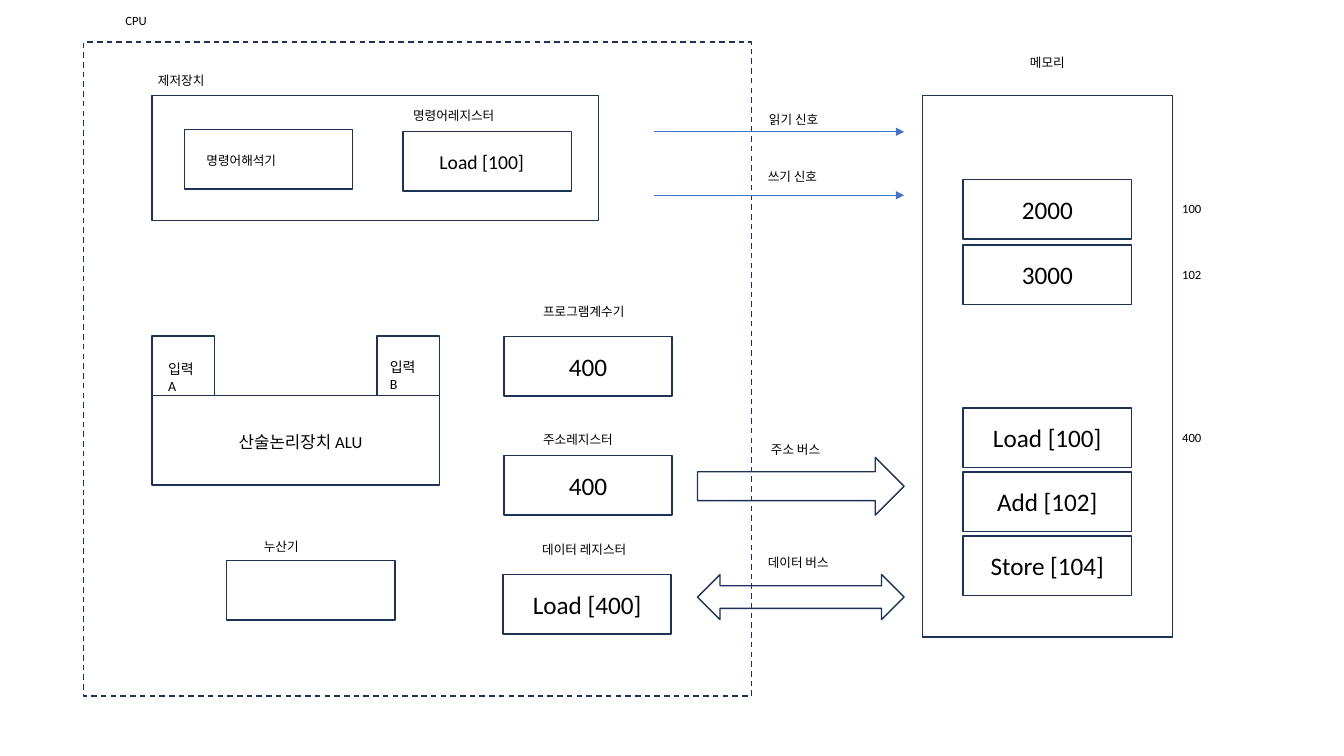
from dataclasses import dataclass

from lxml import etree
from pptx import Presentation
from pptx.dml.color import RGBColor
from pptx.enum import dml, shapes, text
from pptx.oxml import ns
from pptx.util import Pt


@dataclass(frozen=True)
class Theme:
    font: str = "Calibri"
    ink: RGBColor = RGBColor(0, 0, 0)
    outline: RGBColor = RGBColor(0x1E, 0x32, 0x56)
    signal: RGBColor = RGBColor(0x44, 0x72, 0xC4)
    label: float = 9
    operand: float = 10
    unit: float = 12
    instruction: float = 14
    value: float = 18


THEME = Theme()
LEFT, CENTER = text.PP_ALIGN.LEFT, text.PP_ALIGN.CENTER
BOX, BUS, TWO_WAY_BUS = (
    shapes.MSO_SHAPE.RECTANGLE,
    shapes.MSO_SHAPE.RIGHT_ARROW,
    shapes.MSO_SHAPE.LEFT_RIGHT_ARROW,
)
CELL = (120.2, 42.5)
ALU_LEFT, ALU_TOP, ALU_WIDTH, ALU_HEIGHT = 108.7, 282.5, 205.2, 64
INPUT_WIDTH = 44.6
MEMORY_LEFT, MEMORY_TOP, MEMORY_WIDTH, MEMORY_HEIGHT = 658.8, 68.4, 178.6, 386.6
BUS_LEFT, BUS_WIDTH = 498.2, 147.6


def write(frame, words, size, align):
    paragraph = frame.paragraphs[0]
    paragraph.text = words
    paragraph.alignment = align
    paragraph.font.name = THEME.font
    paragraph.font.size = Pt(size)
    paragraph.font.color.rgb = THEME.ink


def add_outline(slide, left, top, width, height, words="", kind=BOX, dashed=False):
    outline = slide.shapes.add_shape(kind, Pt(left), Pt(top), Pt(width), Pt(height))
    outline.shadow.inherit = False
    outline.fill.background()
    outline.line.color.rgb = THEME.outline
    outline.line.width = Pt(1)
    if dashed:
        outline.line.dash_style = dml.MSO_LINE.DASH
    if words:
        outline.text_frame.vertical_anchor = text.MSO_ANCHOR.MIDDLE
        write(outline.text_frame, words, THEME.value, CENTER)


def add_label(slide, left, top, words, size=THEME.label, align=LEFT, width=86.4):
    label = slide.shapes.add_textbox(Pt(left), Pt(top), Pt(width), Pt(2 * size))
    label.text_frame.word_wrap = True
    label.text_frame.auto_size = text.MSO_AUTO_SIZE.SHAPE_TO_FIT_TEXT
    write(label.text_frame, words, size, align)


def add_signal(slide, top):
    signal = slide.shapes.add_connector(
        shapes.MSO_CONNECTOR.STRAIGHT, Pt(467.3), Pt(top), Pt(BUS_LEFT + BUS_WIDTH), Pt(top)
    )
    signal.line.color.rgb = THEME.signal
    signal.line.width = Pt(0.5)
    etree.SubElement(signal.line._get_or_add_ln(), ns.qn("a:tailEnd"), type="triangle")
    etree.SubElement(signal._element.spPr, ns.qn("a:effectLst"))


def add_control_unit(slide):
    add_outline(slide, ALU_LEFT, MEMORY_TOP, 319, 89.3)
    add_label(slide, 105.8, 48.2, "제저장치")
    add_outline(slide, 131.8, 92.6, *CELL)
    add_label(slide, 140.4, 105.8, "명령어해석기")
    add_outline(slide, 288, 93.9, *CELL)
    add_label(slide, 288, 73.4, "명령어레지스터")
    add_label(slide, 301, 103.7, "Load [100]", THEME.instruction, CENTER)


def add_alu(slide):
    add_outline(slide, ALU_LEFT, ALU_TOP, ALU_WIDTH, ALU_HEIGHT)
    add_label(slide, 163.4, 304.6, "산술논리장치 ALU", THEME.unit, width=118)
    inputs = (
        (ALU_LEFT, 113, 254.2, "입력A"),
        (ALU_LEFT + ALU_WIDTH - INPUT_WIDTH, 271.4, 252.7, "입력B"),
    )
    for left, label_left, label_top, words in inputs:
        add_outline(slide, left, ALU_TOP - CELL[1], INPUT_WIDTH, CELL[1])
        add_label(slide, label_left, label_top, words, THEME.operand, width=36)


def add_registers(slide):
    registers = (
        (360, 240.5, "400", 380.9, 213.8, "프로그램계수기"),
        (360, 325.4, "400", 380.9, 304.6, "주소레지스터"),
        (359.3, 410.4, "Load [400]", 380.2, 383.8, "데이터 레지스터"),
        (162, 400.3, "", 181.4, 381.6, "누산기"),
    )
    for left, top, value, label_left, label_top, name in registers:
        add_outline(slide, left, top, *CELL, value)
        add_label(slide, label_left, label_top, name)


def add_memory(slide):
    add_outline(slide, MEMORY_LEFT, MEMORY_TOP, MEMORY_WIDTH, MEMORY_HEIGHT)
    add_label(slide, 704.9, 36, "메모리", align=CENTER)
    cell_left = MEMORY_LEFT + (MEMORY_WIDTH - CELL[0]) / 2
    cells = (
        (128.2, "2000", "100"),
        (175, "3000", "102"),
        (291.4, "Load [100]", "400"),
        (337.1, "Add [102]", ""),
        (382.8, "Store [104]", ""),
    )
    for top, content, address in cells:
        add_outline(slide, cell_left, top, *CELL, content)
        if address:
            add_label(slide, MEMORY_LEFT + MEMORY_WIDTH, top + 12, address)


def add_buses(slide):
    for top, label_left, label_top, name in (
        (94.1, 542.2, 76.3, "읽기 신호"),
        (139.5, 541.4, 116.9, "쓰기 신호"),
    ):
        add_signal(slide, top)
        add_label(slide, label_left, label_top, name)
    for kind, top, height, label_left, label_top, name in (
        (BUS, 326.7, 41.2, 543.6, 311.8, "주소 버스"),
        (TWO_WAY_BUS, 410.4, 32.2, 541.4, 393.1, "데이터 버스"),
    ):
        add_outline(slide, BUS_LEFT, top, BUS_WIDTH, height, kind=kind)
        add_label(slide, label_left, label_top, name)


def main():
    deck = Presentation()
    deck.slide_width, deck.slide_height = Pt(960), Pt(540)
    slide = deck.slides.add_slide(deck.slide_layouts[6])
    add_outline(slide, 59.8, 30, 477, 467.3, dashed=True)
    add_label(slide, 54, 5.8, "CPU", align=CENTER)
    add_control_unit(slide)
    add_alu(slide)
    add_registers(slide)
    add_memory(slide)
    add_buses(slide)
    deck.save("out.pptx")


if __name__ == "__main__":
    main()
